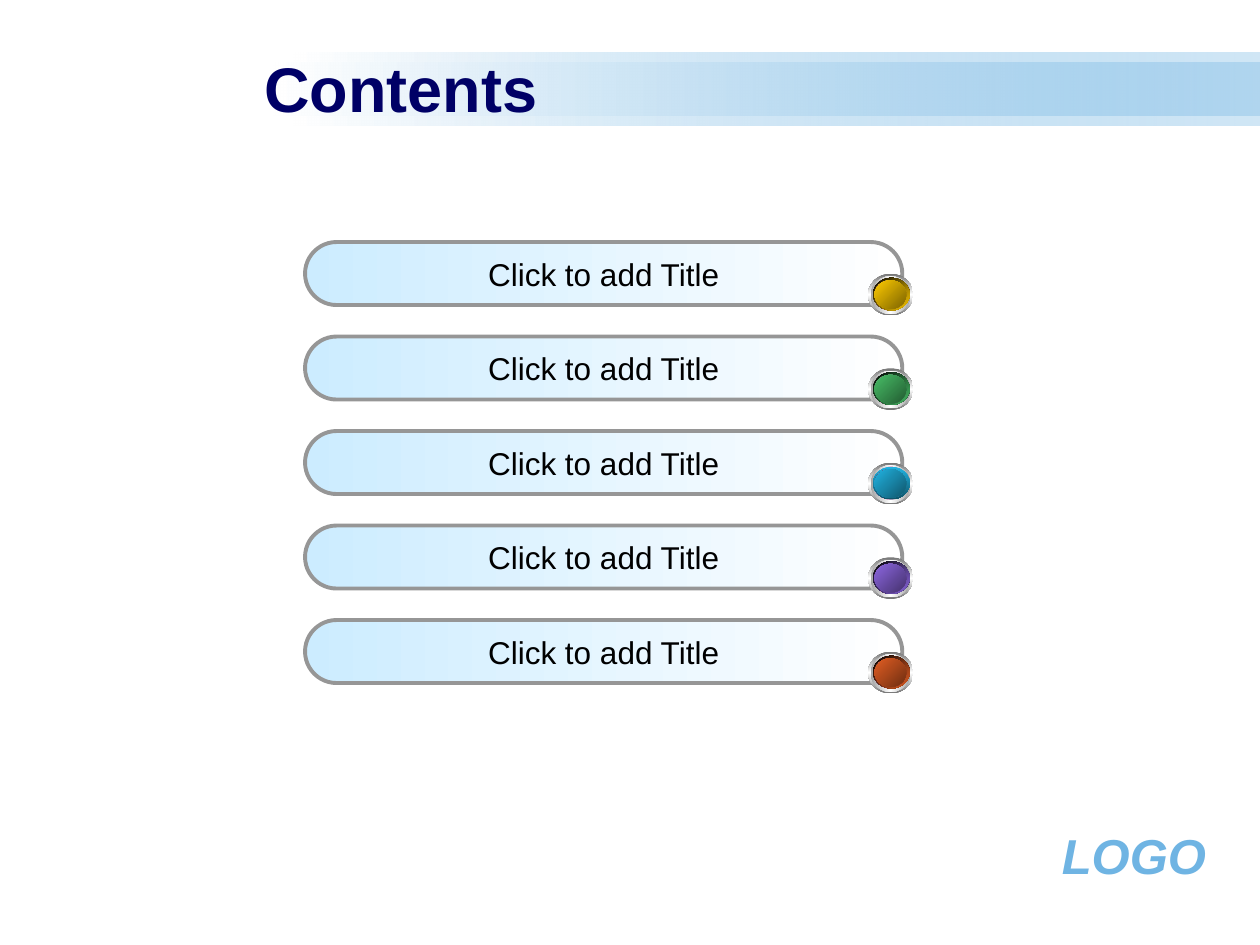
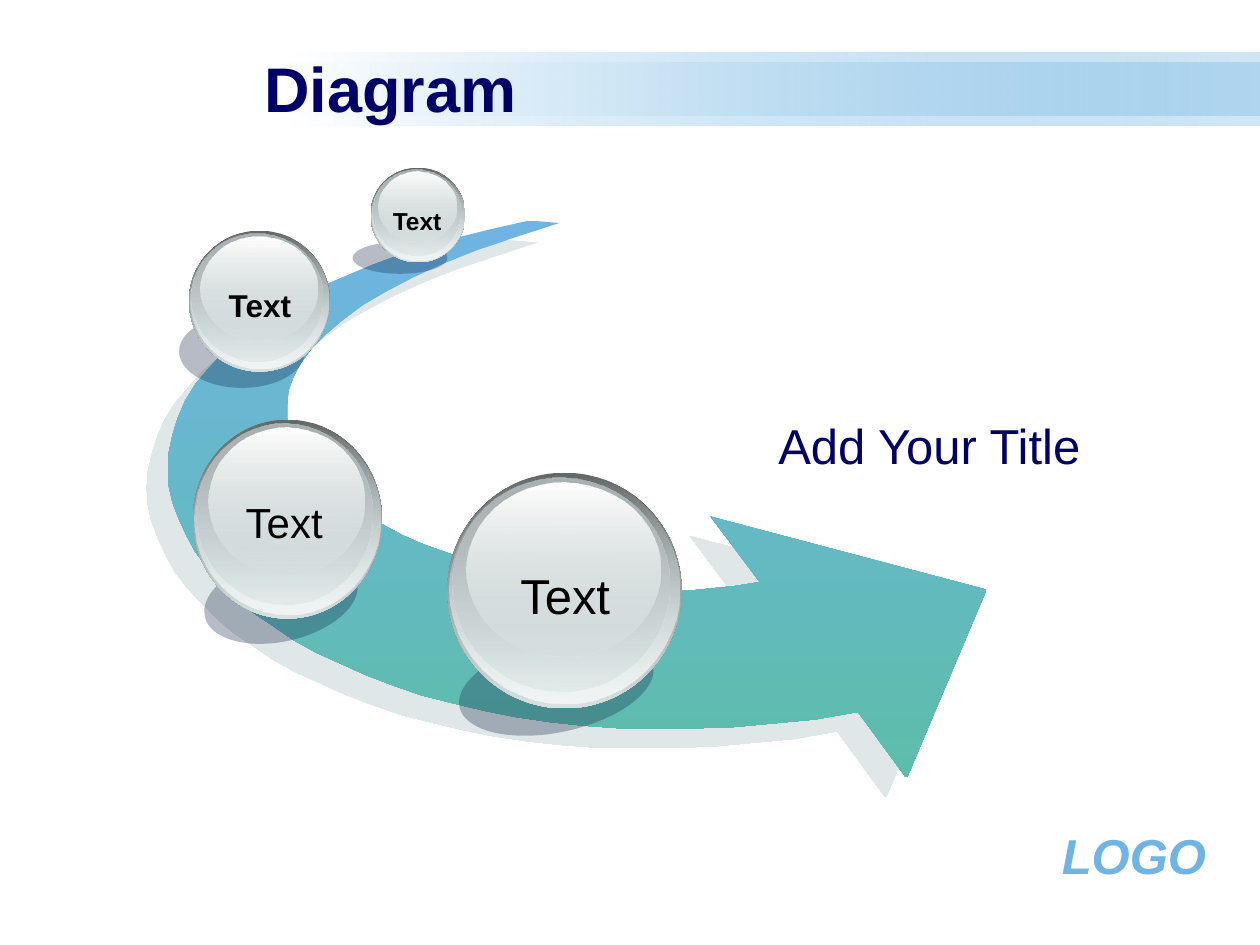
"""Build a contents slide and an arrow diagram slide in a shared blue style."""
from lxml import etree
from pptx import Presentation
from pptx import util as u
from pptx.dml.color import RGBColor
from pptx.enum import shapes, text
from pptx.oxml.ns import qn

FONT = "Arial"
BLACK = RGBColor(0x00, 0x00, 0x00)
WHITE = RGBColor(0xFF, 0xFF, 0xFF)
NAVY = RGBColor(0x00, 0x00, 0x66)
SKY = RGBColor(0x6F, 0xB4, 0xE3)
TEAL = RGBColor(0x5D, 0xBD, 0xAB)
ARROW_SHADOW = RGBColor(0xC1, 0xD1, 0xD3)
ICE = RGBColor(0xCC, 0xEC, 0xFF)
PILL_LINE = RGBColor(0x96, 0x96, 0x96)
STEEL = RGBColor(0x76, 0x76, 0x76)
SILVER = RGBColor(0xA2, 0xA2, 0xA2)
PINK = RGBColor(0xD1, 0x7F, 0xB6)
PLUM = RGBColor(0x71, 0x45, 0x62)
YELLOW, OLIVE = RGBColor(0xFF, 0xCC, 0x00), RGBColor(0x7C, 0x63, 0x00)
GREEN, FOREST = RGBColor(0x48, 0xBE, 0x67), RGBColor(0x23, 0x5C, 0x32)
CYAN, PETROL = RGBColor(0x21, 0xB3, 0xE1), RGBColor(0x10, 0x57, 0x6D)
VIOLET, INDIGO = RGBColor(0x8D, 0x67, 0xE1), RGBColor(0x45, 0x32, 0x6D)
ORANGE, RUST = RGBColor(0xE3, 0x5E, 0x23), RGBColor(0x6E, 0x2E, 0x11)
DEEP_PETROL = RGBColor(0x0F, 0x53, 0x68)
GLASS = RGBColor(0xD6, 0xE1, 0xE2)
GLASS_EDGE = RGBColor(0x63, 0x68, 0x69)
GLASS_GREY = RGBColor(0xAA, 0xB2, 0xB3)
GLASS_LIGHT = RGBColor(0xF1, 0xF5, 0xF5)
SPHERE_SHADOW = RGBColor(0x0F, 0x21, 0x45)

BANDS = [(5.92, 1.07, 19.48, 1.47), (5.51, 1.27, 19.89, 1.07)]
BEADS = [
    (YELLOW, OLIVE, (BLACK, YELLOW), 45),
    (GREEN, FOREST, (BLACK, GREEN), 45),
    (CYAN, PETROL, (CYAN, DEEP_PETROL), 90),
    (VIOLET, INDIGO, (BLACK, VIOLET), 45),
    (ORANGE, RUST, (BLACK, ORANGE), 45),
]
PILL_STEP = 7.62 / 4
GLASS_LAYERS = [
    ((0, 0, 1, 1), (GLASS_EDGE, GLASS)),
    ((0.01, 0.01, 0.98, 0.97), ((GLASS, 0), GLASS_LIGHT)),
    ((0.02, 0.02, 0.93, 0.91), (GLASS_GREY, (GLASS, 48))),
    ((0.08, 0.04, 0.83, 0.74), (WHITE, (GLASS, 38))),
]
SPHERES = [
    ((9.02, 9.53, 4.72, 4.75), (0.2, 3.38, 3.99, 1.85), 347.9,
     (1.17, 1.75, 2.41, 1.45), 28, False),
    ((3.89, 8.46, 3.81, 4.01), (0.2, 2.77, 3.15, 1.7), 347.1,
     (0.76, 1.42, 2.16, 1.27), 24, False),
    ((3.81, 4.65, 2.84, 2.84), (-0.2, 1.7, 2.54, 1.47), 0,
     (0.53, 0.99, 1.8, 1.02), 18, True),
    ((7.47, 3.38, 1.91, 1.91), (-0.36, 1.5, 1.91, 0.64), 0,
     (0.18, 0.64, 1.52, 0.86), 14, True),
]
ARROW_UNIT = 0.0254
ARROW_OUTER = [
    (420, 175), (385, 183), (353, 191), (323, 200), (296, 210), (270, 221),
    (247, 231), (227, 243), (208, 254), (192, 267), (178, 279), (166, 292),
    (155, 305), (147, 318), (141, 332), (137, 345), (134, 359), (133, 372),
    (134, 386), (137, 399), (142, 412), (148, 425), (155, 438), (165, 451),
    (176, 463), (188, 475), (202, 487), (217, 497), (233, 508), (251, 518),
    (271, 527), (291, 536), (312, 544), (335, 552), (359, 558), (384, 564),
    (409, 569), (436, 573), (464, 576), (492, 578), (522, 578), (552, 578),
    (583, 577), (615, 574), (647, 571), (681, 565),
]
ARROW_HEAD = [(719, 617), (720, 617), (783, 468), (564, 410)]
ARROW_INNER = [
    (603, 462), (584, 465), (565, 467), (545, 469), (526, 469), (506, 468),
    (486, 467), (466, 465), (446, 462), (427, 459), (407, 455), (389, 450),
    (370, 444), (353, 438), (336, 432), (320, 425), (305, 417), (291, 409),
    (278, 400), (267, 392), (256, 382), (247, 373), (240, 363), (234, 352),
    (230, 342), (228, 332), (228, 321), (229, 310), (233, 299), (239, 288),
    (248, 276), (259, 265), (272, 254), (288, 242), (307, 231), (328, 220),
    (352, 209), (380, 198), (410, 188), (444, 177),
]


def within(box, part):
    """Shift a part, given relative to a box, to slide coordinates."""
    return (box[0] + part[0], box[1] + part[1], *part[2:])


def set_alpha(color, percent):
    """Make a colour element partly transparent."""
    etree.SubElement(color, qn("a:alpha")).set("val", str(percent * 1000))


def set_gradient(sp, stops, angle):
    """Fill a shape with evenly spaced stops, clockwise from left to right."""
    sp.fill.gradient()
    sp.fill.gradient_angle = -angle % 360
    gs_list = sp.element.spPr.find(qn("a:gradFill")).find(qn("a:gsLst"))
    for gs in list(gs_list):
        gs_list.remove(gs)
    for i, stop in enumerate(stops):
        color, percent = stop if isinstance(stop[0], RGBColor) else (stop, 100)
        gs = etree.SubElement(gs_list, qn("a:gs"))
        gs.set("pos", str(i * 100000 // (len(stops) - 1)))
        clr = etree.SubElement(gs, qn("a:srgbClr"))
        clr.set("val", str(color))
        if percent < 100:
            set_alpha(clr, percent)


def add_plain(parent, kind, box):
    """Add a preset shape without shadow or outline."""
    sp = parent.shapes.add_shape(kind, *map(u.Cm, box))
    sp.shadow.inherit = False
    sp.line.fill.background()
    return sp


def add_ellipse(parent, box, stops, angle):
    """Add a gradient ellipse."""
    set_gradient(add_plain(parent, shapes.MSO_SHAPE.OVAL, box), stops, angle)


def write(sp, words, size, color, align=text.PP_ALIGN.LEFT, bold=False,
          italic=False, wrap=True, anchor=text.MSO_ANCHOR.TOP):
    """Put one styled line of text in a shape."""
    tf = sp.text_frame
    tf.word_wrap = wrap
    tf.vertical_anchor = anchor
    p = tf.paragraphs[0]
    p.text = words
    p.alignment = align
    font = p.font
    font.name, font.size, font.bold, font.italic = FONT, u.Pt(size), bold, italic
    font.color.rgb = color


def add_text(s, box, *args, **style):
    """Add a text box holding one styled line."""
    write(s.shapes.add_textbox(*map(u.Cm, box)), *args, **style)


def add_base(prs, title):
    """Add a slide with the title bands, title and footer mark."""
    s = prs.slides.add_slide(prs.slide_layouts[6])
    for box in BANDS:
        band = add_plain(s, shapes.MSO_SHAPE.RECTANGLE, box)
        set_gradient(band, (WHITE, (SKY, 32)), 0)
    add_text(s, (19.99, 16.51, 4.57, 1.45), "LOGO", 28, SKY,
             align=text.PP_ALIGN.RIGHT, bold=True, italic=True)
    add_text(s, (5.08, 0.97, 19.25, 1.57), title, 36, NAVY, bold=True,
             anchor=text.MSO_ANCHOR.MIDDLE)
    return s


def add_bead(s, box, bright, dark, rim, rim_angle):
    """Stack the ellipses of a coloured bead in a metal ring."""
    core = (0.13, 0.13, 0.64, 0.58)
    layers = [
        ((0, 0, 0.91, 0.84), (STEEL, WHITE, STEEL), 90),
        ((0.05, 0.05, 0.81, 0.76), (SILVER, WHITE, SILVER), 0),
        ((0.1, 0.08, 0.71, 0.66), (WHITE, PINK, WHITE), 45),
        ((0.1, 0.08, 0.74, 0.66), rim, rim_angle),
        (core, (PLUM, PINK, PLUM), 315),
        (core, (bright, dark), 45),
    ]
    group = s.shapes.add_group_shape()
    for part, stops, angle in layers:
        add_ellipse(group, within(box, part), stops, angle)


def add_pill(s, box, bead):
    """Add a contents entry with a bead at its lower right end."""
    sp = add_plain(s, shapes.MSO_SHAPE.ROUNDED_RECTANGLE, box)
    sp.adjustments[0] = 0.5
    set_gradient(sp, (ICE, WHITE), 0)
    sp.line.color.rgb = PILL_LINE
    sp.line.width = u.Pt(2.25)
    write(sp, "Click to add Title", 18, BLACK, align=text.PP_ALIGN.CENTER,
          wrap=False, anchor=text.MSO_ANCHOR.MIDDLE)
    add_bead(s, within(box, (11.35, 0.64)), *bead)


def add_arrow(s):
    """Draw the curved arrow with its offset shadow."""
    points = ARROW_OUTER + ARROW_HEAD + ARROW_INNER
    builder = s.shapes.build_freeform(*points[0], scale=u.Cm(ARROW_UNIT))
    builder.add_line_segments(points[1:], close=True)
    sp = builder.convert_to_shape()
    sp.line.fill.background()
    set_gradient(sp, (SKY, TEAL), 90)
    sp.shadow.inherit = False
    effects = sp.element.spPr.find(qn("a:effectLst"))
    shadow = etree.SubElement(effects, qn("a:outerShdw"))
    shadow.set("dist", str(u.Pt(16.3)))
    shadow.set("dir", str(137 * 60000))
    shadow.set("algn", "ctr")
    shadow.set("rotWithShape", "0")
    clr = etree.SubElement(shadow, qn("a:srgbClr"))
    clr.set("val", str(ARROW_SHADOW))
    set_alpha(clr, 50)


def add_sphere(s, box, shadow, rotation, label, size, bold):
    """Add a labelled glass sphere over its cast shadow."""
    cast = add_plain(s, shapes.MSO_SHAPE.OVAL, within(box, shadow))
    cast.rotation = rotation
    cast.fill.solid()
    cast.fill.fore_color.rgb = SPHERE_SHADOW
    set_alpha(cast.element.spPr.find(qn("a:solidFill"))[0], 30)
    width, height = box[2:]
    for (x, y, w, h), stops in GLASS_LAYERS:
        part = (x * width, y * height, w * width, h * height)
        add_ellipse(s, within(box, part), stops, 90)
    add_text(s, within(box, label), "Text", size, BLACK, bold=bold,
             align=text.PP_ALIGN.CENTER, wrap=False)


def add_contents(prs):
    """Build the contents slide."""
    s = add_base(prs, "Contents")
    for i, bead in enumerate(BEADS):
        add_pill(s, (6.15, 4.88 + i * PILL_STEP, 12.04, 1.27), bead)


def add_diagram(prs):
    """Build the arrow diagram slide."""
    s = add_base(prs, "Diagram")
    add_arrow(s)
    add_text(s, (15.44, 8.26, 7.42, 1.45), "Add Your Title", 28, NAVY)
    for sphere in SPHERES:
        add_sphere(s, *sphere)


def main():
    """Build and save the presentation."""
    prs = Presentation()
    prs.slide_width, prs.slide_height = u.Cm(25.4), u.Cm(19.05)
    add_contents(prs)
    add_diagram(prs)
    prs.save("out.pptx")


if __name__ == "__main__":
    main()
